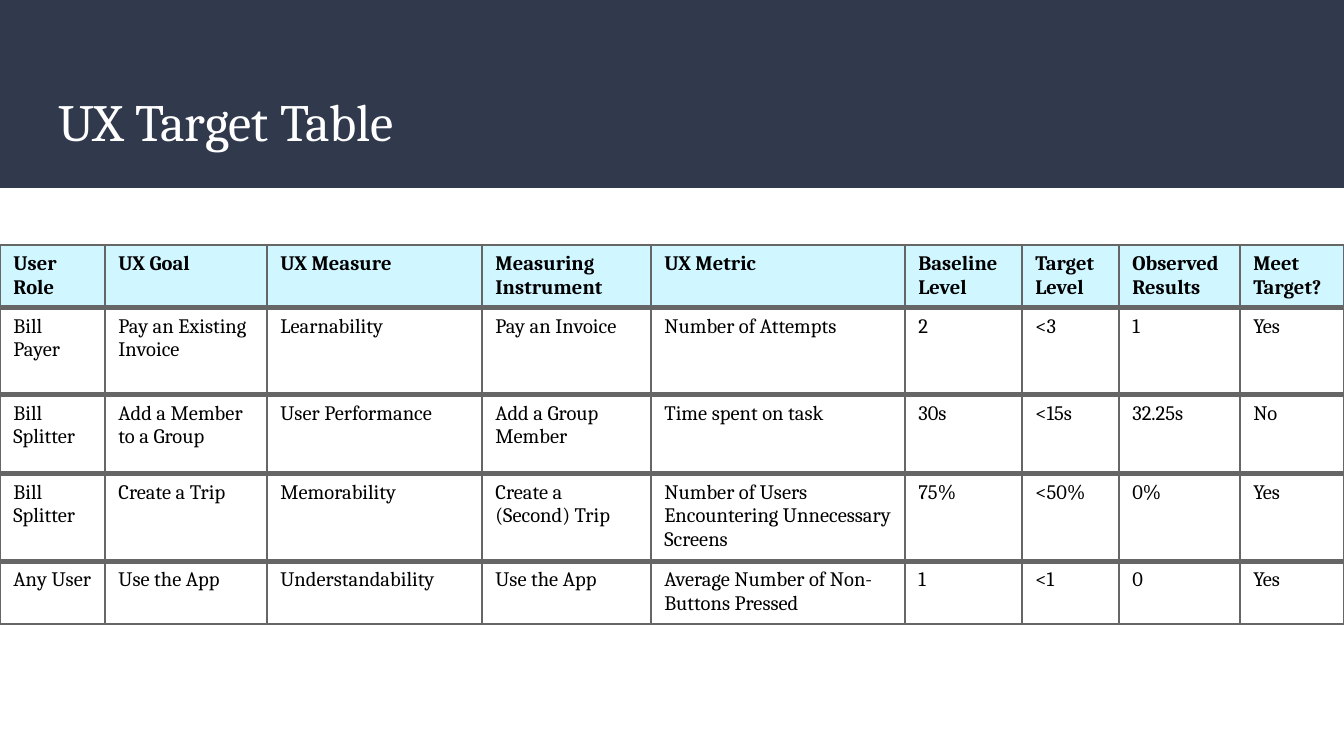
from lxml import etree
from pptx import Presentation
from pptx.dml.color import RGBColor
from pptx.enum.shapes import MSO_SHAPE
from pptx.enum.text import MSO_ANCHOR
from pptx.oxml.ns import qn
from pptx.util import Pt

RECT = MSO_SHAPE.RECTANGLE
BOTTOM = MSO_ANCHOR.BOTTOM

PX = 914400 / 134.4
WIDTH, HEIGHT = 1344, 756
FONT = "Cambria"
NAVY, WHITE, BLACK = "31394D", "FFFFFF", "000000"
HEADER_FILL, BORDER = "D0F6FF", "666666"
THIN, THICK = 1, 3

TITLE = "UX Target Table"
ROWS = [
    ["User Role", "UX Goal", "UX Measure", "Measuring Instrument", "UX Metric",
     "Baseline Level", "Target Level", "Observed Results", "Meet Target?"],
    ["Bill Payer", "Pay an Existing Invoice", "Learnability", "Pay an Invoice",
     "Number of Attempts", "2", "<3", "1", "Yes"],
    ["Bill Splitter", "Add a Member to a Group", "User Performance",
     "Add a Group Member", "Time spent on task", "30s", "<15s", "32.25s", "No"],
    ["Bill Splitter", "Create a Trip", "Memorability", "Create a (Second) Trip",
     "Number of Users Encountering Unnecessary Screens", "75%", "<50%", "0%", "Yes"],
    ["Any User", "Use the App", "Understandability", "Use the App",
     "Average Number of Non-Buttons Pressed", "1", "<1", "0", "Yes"],
]
COL_WIDTHS = [105, 162, 215, 169, 254, 117, 97, 121, 104]
ROW_HEIGHTS = [60, 87, 79, 84, 62]
TABLE_TOP = 245


def px(n):
    return round(n * PX)


def rgb(color):
    return RGBColor.from_string(color)


def style_text(p, size, color, bold=False):
    font = p.runs[0].font
    font.name, font.size, font.bold = FONT, Pt(size), bold
    font.color.rgb = rgb(color)


def set_borders(cell, widths):
    """Draw the left, right, top and bottom borders, with widths in points."""
    tc_pr = cell._tc.get_or_add_tcPr()
    for i, (tag, width) in enumerate(zip(("a:lnL", "a:lnR", "a:lnT", "a:lnB"), widths)):
        ln = etree.Element(qn(tag), w=str(Pt(width)))
        fill = etree.SubElement(ln, qn("a:solidFill"))
        etree.SubElement(fill, qn("a:srgbClr"), val=BORDER)
        tc_pr.insert(i, ln)


def add_header(slide):
    band = slide.shapes.add_shape(RECT, 0, 0, px(WIDTH), px(188))
    band.shadow.inherit = False
    band.fill.solid()
    band.fill.fore_color.rgb = rgb(NAVY)
    band.line.fill.background()

    title = slide.shapes.add_textbox(px(46), px(74), px(1252), px(91))
    tf = title.text_frame
    tf.word_wrap = True
    tf.vertical_anchor = BOTTOM
    tf.margin_left = tf.margin_right = tf.margin_top = tf.margin_bottom = px(13)
    tf.text = TITLE
    style_text(tf.paragraphs[0], 28, WHITE)


def add_target_table(slide):
    table = slide.shapes.add_table(
        len(ROWS), len(COL_WIDTHS), 0, px(TABLE_TOP),
        px(sum(COL_WIDTHS)), px(sum(ROW_HEIGHTS))).table
    for column, width in zip(table.columns, COL_WIDTHS):
        column.width = px(width)
    last = len(ROWS) - 1
    for r, (texts, height) in enumerate(zip(ROWS, ROW_HEIGHTS)):
        table.rows[r].height = px(height)
        top = THIN if r == 0 else THICK
        bottom = THIN if r == last else THICK
        for c, text in enumerate(texts):
            cell = table.cell(r, c)
            cell.text = text
            cell.fill.solid()
            cell.fill.fore_color.rgb = rgb(HEADER_FILL if r == 0 else WHITE)
            p = cell.text_frame.paragraphs[0]
            p.space_after = Pt(6)
            style_text(p, 11, BLACK, bold=r == 0)
            set_borders(cell, (THIN, THIN, top, bottom))


def main():
    prs = Presentation()
    prs.slide_width, prs.slide_height = px(WIDTH), px(HEIGHT)
    slide = prs.slides.add_slide(prs.slide_layouts[6])
    add_header(slide)
    add_target_table(slide)
    prs.save("out.pptx")


if __name__ == "__main__":
    main()
